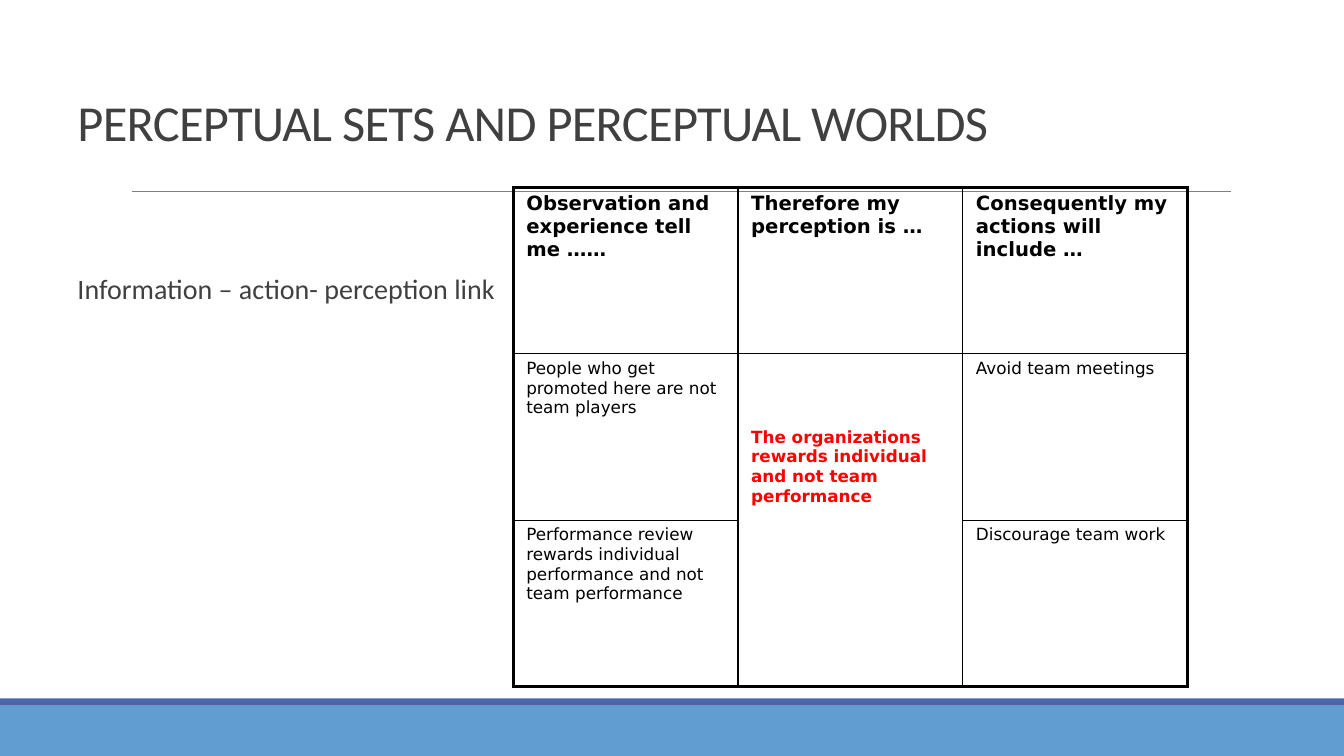
import pptx
import pptx.dml.color
import pptx.enum.shapes
import pptx.enum.text
import pptx.oxml
import pptx.oxml.ns
import pptx.util

WIDTH, HEIGHT = 13.33, 7.5
FOOTER_TOP, STRIPE_HEIGHT = 7, 0.07
THICK, THIN = 2.25, 1
GREY, BLACK, RED = "404040", "000000", "FF0000"

HEADER = {"name": "DejaVu Sans", "size": 14, "bold": True, "color": BLACK}
BODY = HEADER | {"size": 12, "bold": False}
PERCEPTION = BODY | {"bold": True, "color": RED}

HEADINGS = [
    "Observation and experience tell me ……",
    "Therefore my perception is …",
    "Consequently my actions will include …",
]
OBSERVATIONS = [
    "People who get promoted here are not team players",
    "Performance review rewards individual performance and not team performance",
]
SHARED_PERCEPTION = "The organizations rewards individual and not team performance"
ACTIONS = ["Avoid team meetings", "Discourage team work"]


def inches(*lengths):
    return [pptx.util.Inches(length) for length in lengths]


def rgb(color):
    return pptx.dml.color.RGBColor.from_string(color)


def write(paragraph, text, formats):
    run = paragraph.add_run()
    run.text = text
    for key, value in formats.items():
        if key == "color":
            run.font.color.rgb = rgb(value)
        else:
            setattr(run.font, key, pptx.util.Pt(value) if key == "size" else value)
    return run


def set_margins(target, left, top, right, bottom):
    for side, length in zip(("left", "top", "right", "bottom"), inches(left, top, right, bottom)):
        setattr(target, f"margin_{side}", length)


def add_text(slide, box, text, formats, anchor, line_spacing, right_margin):
    frame = slide.shapes.add_textbox(*inches(*box)).text_frame
    frame.word_wrap = True
    frame.vertical_anchor = anchor
    set_margins(frame, 0.1, 0.05, right_margin, 0.05)
    paragraph = frame.paragraphs[0]
    paragraph.line_spacing = line_spacing
    return write(paragraph, text, formats)


def add_band(slide, box, color):
    band = slide.shapes.add_shape(pptx.enum.shapes.MSO_SHAPE.RECTANGLE, *inches(*box))
    band.shadow.inherit = False
    band.fill.solid()
    band.fill.fore_color.rgb = rgb(color)
    band.line.fill.background()


def add_frame(slide):
    """Draw the footer bands and the rule under the title."""
    add_band(slide, (0, FOOTER_TOP, WIDTH, HEIGHT - FOOTER_TOP), "629DD1")
    add_band(slide, (0, FOOTER_TOP - STRIPE_HEIGHT, WIDTH, STRIPE_HEIGHT), "4A66AC")
    rule = slide.shapes.add_connector(
        pptx.enum.shapes.MSO_CONNECTOR.STRAIGHT, *inches(1.31, 1.9, 12.21, 1.9))
    rule.line.color.rgb = rgb("808080")
    rule.line.width = pptx.util.Pt(0.5)
    properties = rule._element.spPr
    properties.append(properties.makeelement(pptx.oxml.ns.qn("a:effectLst"), {}))


def set_borders(cell, widths):
    """Give the cell black borders; widths are in points, by side L, R, T, B."""
    properties = cell._tc.get_or_add_tcPr()
    for index, (side, width) in enumerate(widths.items()):
        properties.insert(index, pptx.oxml.parse_xml(
            f'<a:ln{side} {pptx.oxml.ns.nsdecls("a")} w="{pptx.util.Pt(width)}">'
            f'<a:solidFill><a:srgbClr val="{BLACK}"/></a:solidFill></a:ln{side}>'))


def add_perception_table(slide, box):
    rows = [HEADINGS] + [
        [observation, perception, action]
        for observation, perception, action in zip(OBSERVATIONS, [SHARED_PERCEPTION, ""], ACTIONS)
    ]
    last_row, last_column = len(rows) - 1, len(HEADINGS) - 1
    table = slide.shapes.add_table(len(rows), len(HEADINGS), *inches(*box)).table
    table.first_row = table.horz_banding = False
    for column in table.columns:
        column.width = pptx.util.Inches(box[2] / len(HEADINGS))
    for row in table.rows:
        row.height = pptx.util.Inches(box[3] / len(rows))
    table.cell(1, 1).merge(table.cell(last_row, 1))

    for row, texts in enumerate(rows):
        for column, text in enumerate(texts):
            cell = table.cell(row, column)
            shared = text == SHARED_PERCEPTION
            cell.fill.background()
            set_margins(cell, 0.13, 0.73 if shared else 0.05, 0.13, 0.05)
            set_borders(cell, {
                "L": THICK if column == 0 else THIN,
                "R": THICK if column == last_column else THIN,
                "T": THICK if row == 0 else THIN,
                "B": THICK if row == last_row or shared else THIN,
            })
            if text:
                formats = PERCEPTION if shared else BODY if row else HEADER
                write(cell.text_frame.paragraphs[0], text, formats)


def main():
    presentation = pptx.Presentation()
    presentation.slide_width, presentation.slide_height = inches(WIDTH, HEIGHT)
    slide = presentation.slides.add_slide(presentation.slide_layouts[6])
    anchors = pptx.enum.text.MSO_ANCHOR
    add_frame(slide)
    title = add_text(slide, (0.67, 0.3, 12, 1.25), "PERCEPTUAL SETS AND PERCEPTUAL WORLDS",
                     {"name": "Calibri", "size": 36, "color": GREY}, anchors.BOTTOM, 0.85, 0.1)
    title._r.get_or_add_rPr().set("spc", "-50")
    add_text(slide, (0.67, 2.68, 4.32, 1.7), "Information – action- perception link",
             {"name": "Calibri", "size": 20, "color": GREY}, anchors.TOP, 0.9, 0)
    add_perception_table(slide, (5.09, 1.86, 6.69, 4.95))
    presentation.save("out.pptx")


if __name__ == "__main__":
    main()
